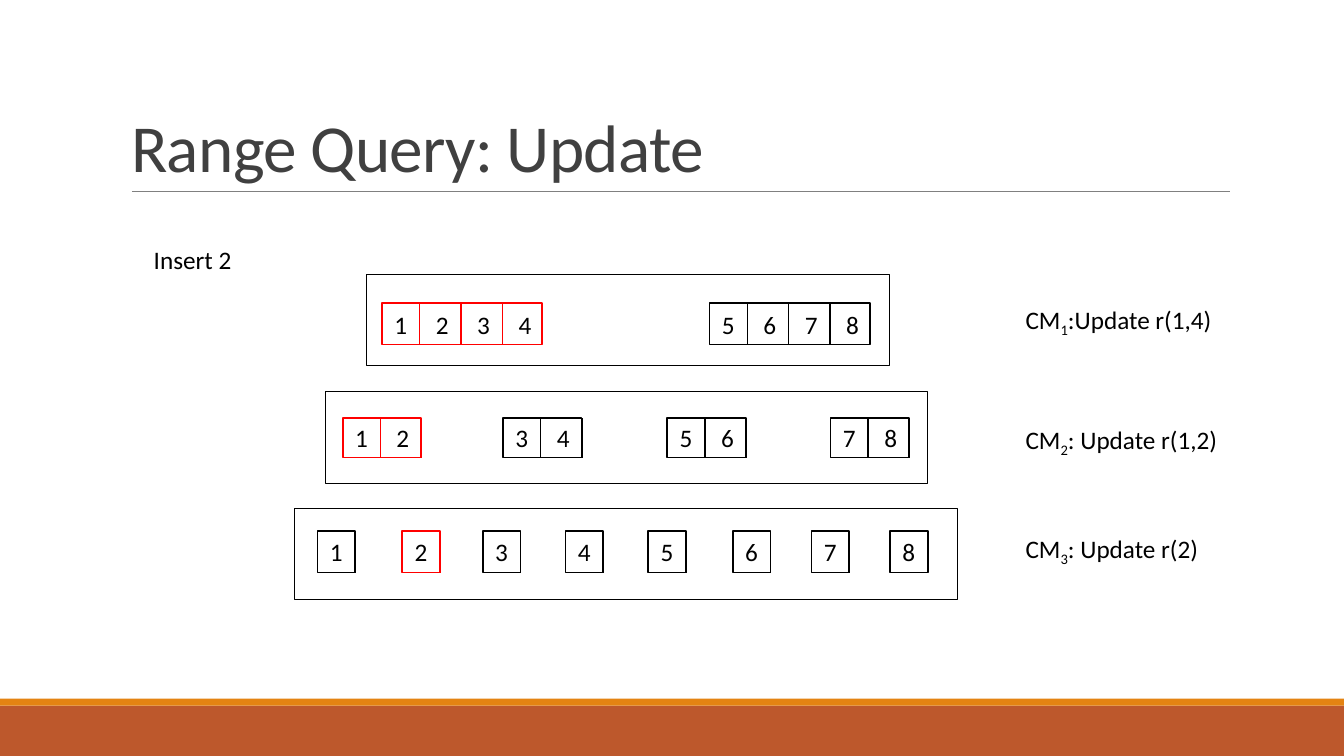
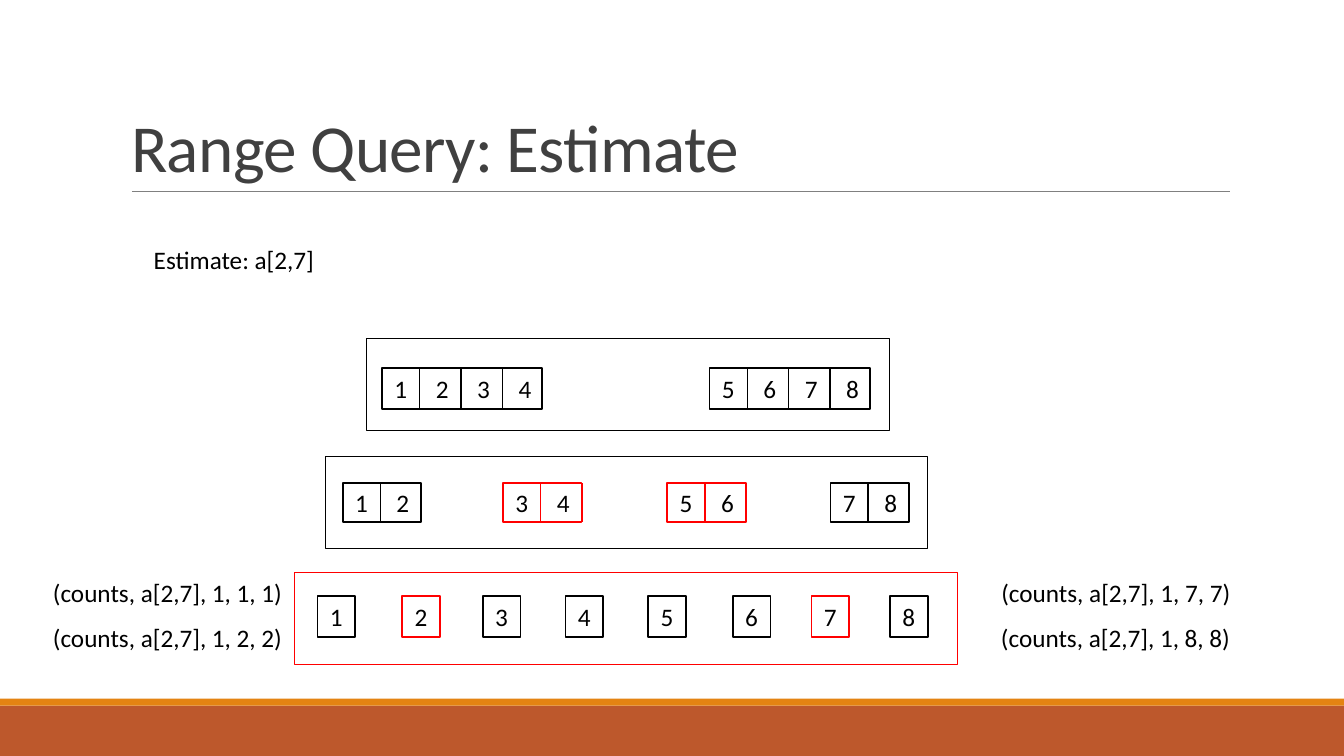
import pptx
import pptx.dml.color
import pptx.enum.shapes
import pptx.enum.text
import pptx.oxml
import pptx.util

BLACK, RED, WHITE, GREY = "000000", "FF0000", "FFFFFF", "404040"
RUST, ORANGE, RULE = "BD582C", "E48312", "808080"
NS = 'xmlns:a="http://schemas.openxmlformats.org/drawingml/2006/main"'

prs = pptx.Presentation()
prs.slide_width = pptx.util.Emu(12192000)
prs.slide_height = pptx.util.Inches(7.5)
col = prs.slide_width / 100
row = prs.slide_height / 100


def rgb(value):
    return pptx.dml.color.RGBColor.from_string(value)


def add(s, x, y, w, h, fill=None, line=None, weight=1.25, text="", size=18, colour=BLACK):
    place = [int(v) for v in (x * col, y * row, w * col, h * row)]
    if w == 0 or h == 0:
        sp = s.shapes.add_connector(
            pptx.enum.shapes.MSO_CONNECTOR.STRAIGHT,
            place[0], place[1], place[0] + place[2], place[1] + place[3],
        )
        sp.line.color.rgb = rgb(line)
        sp.line.width = pptx.util.Pt(weight)
        sp._element.spPr.append(pptx.oxml.parse_xml(f"<a:effectLst {NS}/>"))
        return sp
    if fill or line:
        sp = s.shapes.add_shape(pptx.enum.shapes.MSO_SHAPE.RECTANGLE, *place)
        sp.shadow.inherit = False
        if fill:
            sp.fill.solid()
            sp.fill.fore_color.rgb = rgb(fill)
        else:
            sp.fill.background()
        if line:
            sp.line.color.rgb = rgb(line)
            sp.line.width = pptx.util.Pt(weight)
        else:
            sp.line.fill.background()
    else:
        sp = s.shapes.add_textbox(*place)
    tf = sp.text_frame
    tf.word_wrap = True
    p = tf.paragraphs[0]
    for i, part in enumerate(text.split("|") if text else []):
        r = p.add_run()
        r.text = part
        r.font.name = "Calibri"
        r.font.size = pptx.util.Pt(size)
        r.font.color.rgb = rgb(colour)
        if i % 2:
            r.font._element.set("baseline", "-25000")
    return sp


FRAME_HEIGHT = 12.13
FIRST_CELL, CELL, INDENT = 2.8, 3.08, 0.92

levels = [
    dict(frame=(27.27, 36.25, 38.93), span=4, lefts=[28.43, 52.8],
         width=11.93, drop=3.87, height=5.47, dividers=3),
    dict(frame=(24.23, 51.85, 44.78), span=2, lefts=[25.5, 37.43, 49.65, 61.8],
         width=5.85, drop=3.47, height=5.2, dividers=2),
    dict(frame=(21.9, 67.2, 49.35), span=1,
         lefts=[23.63, 29.93, 35.93, 42.08, 48.23, 54.53, 60.38, 66.23],
         width=2.8, drop=3.07, height=5.47, dividers=1),
]

slides = [
    dict(
        title="Range Query: Update",
        shift=0,
        red_starts=[{1}, {1}, {2}],
        frame_lines=[BLACK, BLACK, BLACK],
        labels=[
            (10.7, 31.6, "Insert 2"),
            (75.57, 39.6, "CM|1|:Update r(1,4)"),
            (75.57, 55.47, "CM|2|: Update r(1,2)"),
            (75.57, 69.87, "CM|3|: Update r(2)"),
        ],
    ),
    dict(
        title="Range Query: Estimate",
        shift=8.55,
        red_starts=[set(), {3, 5}, {2, 7}],
        frame_lines=[BLACK, BLACK, RED],
        labels=[
            (10.7, 31.6, "Estimate: a[2,7]"),
            (3.2, 75.73, "(counts, a[2,7], 1, 1, 1)"),
            (3.2, 81.67, "(counts, a[2,7], 1, 2, 2)"),
            (73.77, 75.73, "(counts, a[2,7], 1, 7, 7)"),
            (73.74, 81.67, "(counts, a[2,7], 1, 8, 8)"),
        ],
    ),
]

for content in slides:
    s = prs.slides.add_slide(prs.slide_layouts[6])
    add(s, 0, 93.33, 100, 6.67, fill=RUST)
    add(s, 0, 92.4, 100, 0.93, fill=ORANGE)
    add(s, 9.82, 25.33, 81.73, 0, line=RULE, weight=0.5)

    title = add(s, 9.03, 4.13, 82.5, 21.2, text=content["title"], size=48, colour=GREY)
    title.text_frame.vertical_anchor = pptx.enum.text.MSO_ANCHOR.BOTTOM
    p = title.text_frame.paragraphs[0]
    p.line_spacing = 0.85
    p.runs[0].font._element.set("spc", "-50")

    for i, level in enumerate(levels):
        x, top, width = level["frame"]
        top += content["shift"]
        add(s, x, top, width, FRAME_HEIGHT, line=content["frame_lines"][i], weight=0.75)
        y = top + level["drop"]
        for block, left in enumerate(level["lefts"]):
            start = 1 + block * level["span"]
            line = RED if start in content["red_starts"][i] else BLACK
            numbers = "\t".join(str(start + n) for n in range(level["span"]))
            sp = add(s, left, y, level["width"], level["height"],
                     fill=WHITE, line=line, text=numbers)
            tf = sp.text_frame
            tf.margin_left = int(INDENT * col)
            tf.margin_right = tf.margin_top = tf.margin_bottom = 0
            tf.vertical_anchor = pptx.enum.text.MSO_ANCHOR.MIDDLE
            p = tf.paragraphs[0]
            p.alignment = pptx.enum.text.PP_ALIGN.LEFT
            stops = "".join(
                f'<a:tab pos="{int(n * CELL * col)}" algn="l"/>' for n in range(1, level["span"])
            )
            if stops:
                p._p.get_or_add_pPr().append(
                    pptx.oxml.parse_xml(f"<a:tabLst {NS}>{stops}</a:tabLst>")
                )
            for n in range(level["dividers"]):
                add(s, left + FIRST_CELL + n * CELL, y, 0, level["height"], line=line, weight=1)

    for x, y, text in content["labels"]:
        add(s, x, y, 20.63, 5.33, text=text)

prs.save("out.pptx")
